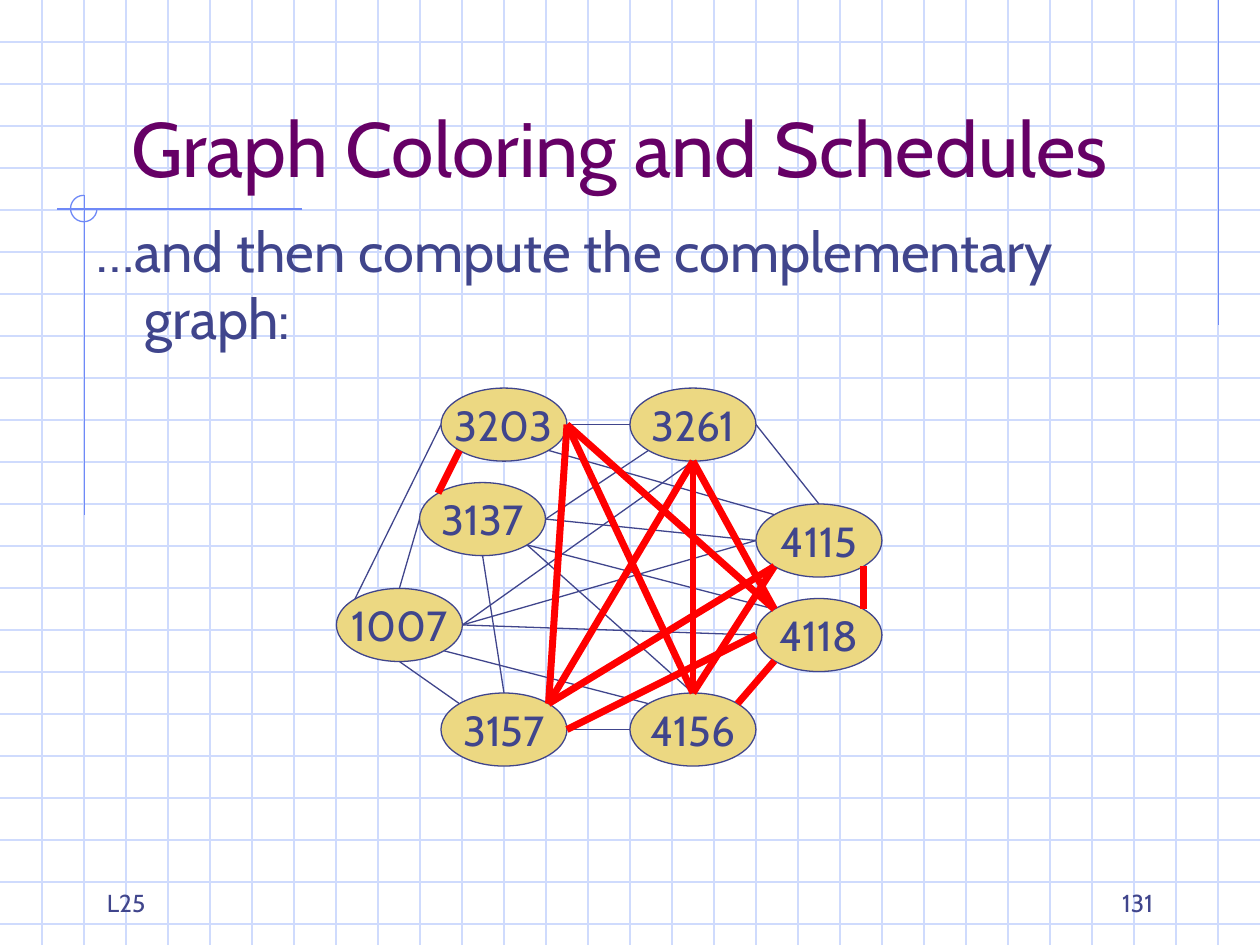
import dataclasses
import math
import typing

import pptx
import pptx.dml.color
import pptx.enum.shapes
import pptx.enum.text
import pptx.oxml
import pptx.oxml.ns
import pptx.util

RGBColor = pptx.dml.color.RGBColor
Inches = pptx.util.Inches
Pt = pptx.util.Pt
Align = pptx.enum.text.PP_ALIGN
Anchor = pptx.enum.text.MSO_ANCHOR
Shape = pptx.enum.shapes.MSO_SHAPE

GRID = RGBColor(0xCF, 0xDB, 0xFD)
TRIM = RGBColor(0x6F, 0x89, 0xF7)
PLUM = RGBColor(0x66, 0x00, 0x66)
NAVY = RGBColor(0x40, 0x45, 0x8C)
SAND = RGBColor(0xEC, 0xD8, 0x82)
RED = RGBColor(0xFF, 0x00, 0x00)

FONT = "Cabin"
WIDE, HIGH = 10, 7.5
THIN, THICK = 0.75, 4
NODE_W, NODE_H = 1, 0.58
ANGLE = {"e": 0, "se": 45, "s": 90, "sw": 135, "w": 180, "nw": 225, "n": 270, "ne": 315}

Point = tuple[float, float]


@dataclasses.dataclass
class Node:
    label: str
    left: float
    top: float

    def port(self, side: str) -> Point:
        turn = math.radians(ANGLE[side])
        return (self.left + NODE_W / 2 * (1 + math.cos(turn)),
                self.top + NODE_H / 2 * (1 + math.sin(turn)))


class Edge(typing.NamedTuple):
    start: str
    leave: str
    end: str
    reach: str


@dataclasses.dataclass
class Label:
    text: str
    left: float
    top: float
    width: float
    height: float
    size: float
    color: RGBColor
    align: Align
    anchor: Anchor
    hang: float = 0


NODES = [
    Node("1007", 2.67, 4.67),
    Node("3137", 3.33, 3.83),
    Node("3157", 3.5, 5.5),
    Node("3203", 3.5, 3.08),
    Node("4115", 6, 4),
    Node("3261", 5, 3.08),
    Node("4156", 5, 5.5),
    Node("4118", 6, 4.75),
]

PLAIN = [
    Edge("1007", "n", "3137", "w"),
    Edge("3157", "nw", "1007", "s"),
    Edge("1007", "nw", "3203", "w"),
    Edge("1007", "e", "3261", "s"),
    Edge("3137", "e", "3261", "sw"),
    Edge("3203", "e", "3261", "w"),
    Edge("3157", "n", "3137", "s"),
    Edge("4156", "w", "3157", "e"),
    Edge("4156", "nw", "1007", "se"),
    Edge("4156", "n", "3137", "se"),
    Edge("3261", "e", "4115", "n"),
    Edge("3203", "se", "4115", "nw"),
    Edge("3137", "e", "4115", "w"),
    Edge("1007", "e", "4115", "w"),
    Edge("3137", "se", "4118", "nw"),
    Edge("1007", "e", "4118", "w"),
]

BOLD = [
    Edge("3137", "nw", "3203", "sw"),
    Edge("3157", "ne", "3203", "e"),
    Edge("4156", "n", "3203", "e"),
    Edge("4118", "w", "3157", "e"),
    Edge("4115", "sw", "3157", "ne"),
    Edge("3261", "s", "3157", "ne"),
    Edge("4118", "sw", "4156", "ne"),
    Edge("4118", "nw", "3261", "s"),
    Edge("4118", "nw", "3203", "e"),
    Edge("4118", "ne", "4115", "se"),
    Edge("3261", "s", "4156", "n"),
    Edge("4156", "n", "4115", "sw"),
]

LABELS = [
    Label("Graph Coloring and Schedules", 0.67, 0.33, 8.5, 1.25, 44, PLUM, Align.CENTER, Anchor.BOTTOM),
    Label("…and then compute the complementary graph:", 0.67, 1.67, 8.92, 5.33, 32, NAVY,
          Align.LEFT, Anchor.TOP, 0.38),
    Label("131", 7.17, 6.83, 2.08, 0.5, 14, NAVY, Align.RIGHT, Anchor.BOTTOM),
    Label("L25", 0.75, 6.83, 2.08, 0.5, 14, NAVY, Align.LEFT, Anchor.BOTTOM),
]


def draw_line(slide, start: Point, end: Point, color: RGBColor, width: float = THIN) -> None:
    line = slide.shapes.add_connector(
        pptx.enum.shapes.MSO_CONNECTOR.STRAIGHT, *map(Inches, start + end))
    line.line.color.rgb = color
    line.line.width = Pt(width)
    props = line._element.spPr
    props.append(pptx.oxml.parse_xml(f"<a:effectLst {pptx.oxml.ns.nsdecls('a')}/>"))


def add_text(frame, text: str, size: float, color: RGBColor, align: Align):
    para = frame.paragraphs[0]
    para.alignment = align
    run = para.add_run()
    run.text = text
    run.font.name = FONT
    run.font.size = Pt(size)
    run.font.color.rgb = color
    return para


def draw_paper(slide) -> None:
    for row in range(1, 23):
        draw_line(slide, (0, row / 3), (WIDE, row / 3), GRID)
    for col in range(1, 30):
        draw_line(slide, (col / 3, 0), (col / 3, HIGH), GRID)
    draw_line(slide, (9.67, 0), (9.67, 2.58), TRIM)
    draw_line(slide, (2.4, 1.66), (0.45, 1.66), TRIM)
    draw_line(slide, (0.67, 1.55), (0.67, 4.09), TRIM)
    arc = slide.shapes.add_shape(Shape.ARC, Inches(0.56), Inches(1.55), Inches(0.21), Inches(0.21))
    arc.adjustments[0] = 0
    arc.adjustments[1] = 162
    arc.shadow.inherit = False
    arc.fill.background()
    arc.line.color.rgb = TRIM
    arc.line.width = Pt(THIN)


def draw_label(slide, label: Label) -> None:
    box = slide.shapes.add_textbox(
        *map(Inches, (label.left, label.top, label.width, label.height)))
    frame = box.text_frame
    frame.word_wrap = True
    frame.vertical_anchor = label.anchor
    para = add_text(frame, label.text, label.size, label.color, label.align)
    if label.hang:
        props = para._p.get_or_add_pPr()
        props.set("marL", str(Inches(label.hang)))
        props.set("indent", str(-Inches(label.hang)))


def draw_node(slide, node: Node) -> None:
    oval = slide.shapes.add_shape(
        Shape.OVAL, *map(Inches, (node.left, node.top, NODE_W, NODE_H)))
    oval.shadow.inherit = False
    oval.fill.solid()
    oval.fill.fore_color.rgb = SAND
    oval.line.color.rgb = NAVY
    oval.line.width = Pt(THIN)
    oval.text_frame.word_wrap = False
    oval.text_frame.vertical_anchor = Anchor.MIDDLE
    add_text(oval.text_frame, node.label, 24, NAVY, Align.CENTER)


def main() -> None:
    deck = pptx.Presentation()
    deck.slide_width, deck.slide_height = Inches(WIDE), Inches(HIGH)
    slide = deck.slides.add_slide(deck.slide_layouts[6])
    draw_paper(slide)
    for label in LABELS:
        draw_label(slide, label)
    for node in NODES:
        draw_node(slide, node)
    lookup = {node.label: node for node in NODES}
    for edges, color, width in ((PLAIN, NAVY, THIN), (BOLD, RED, THICK)):
        for edge in edges:
            start = lookup[edge.start].port(edge.leave)
            end = lookup[edge.end].port(edge.reach)
            draw_line(slide, start, end, color, width)
    deck.save("out.pptx")


if __name__ == "__main__":
    main()
